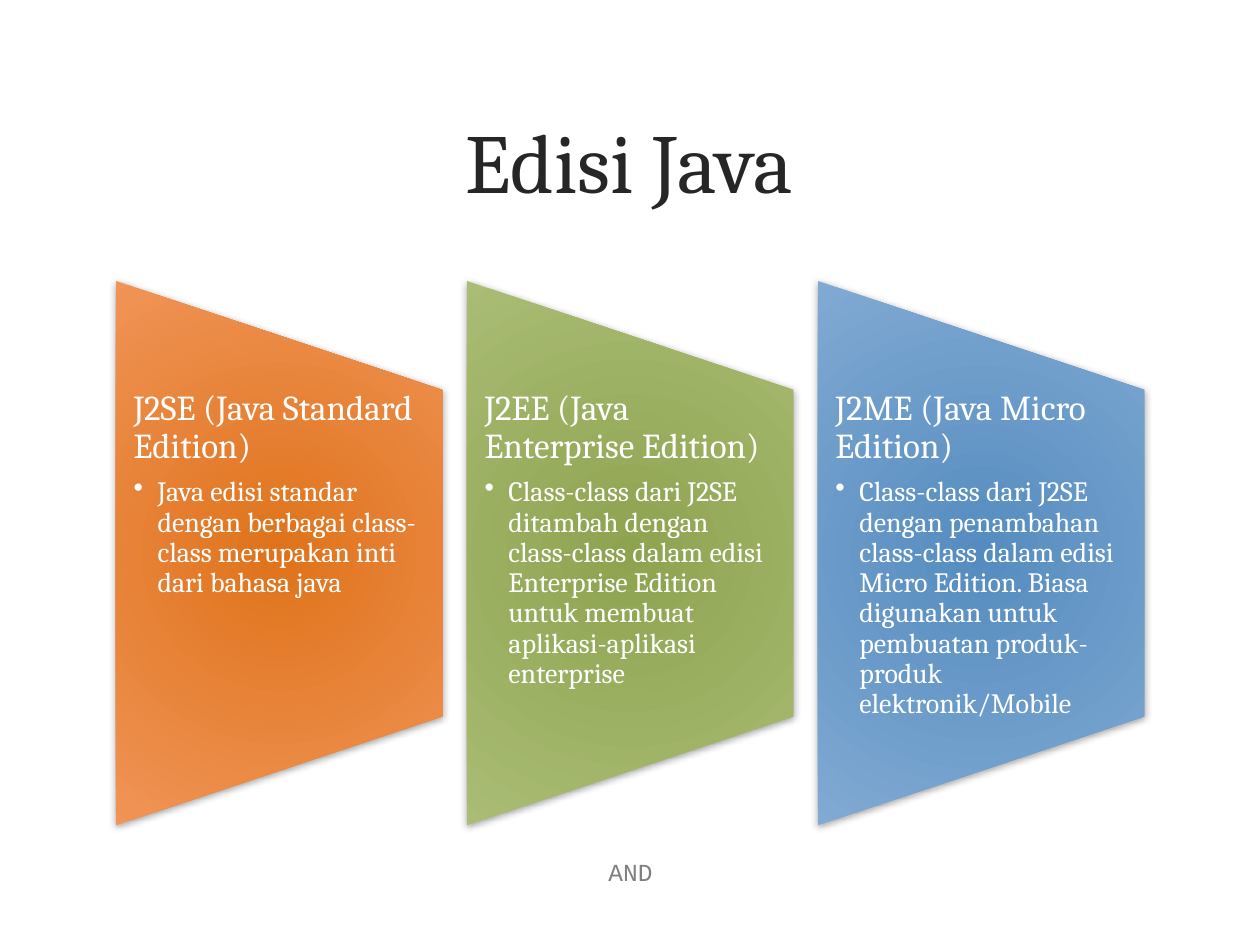
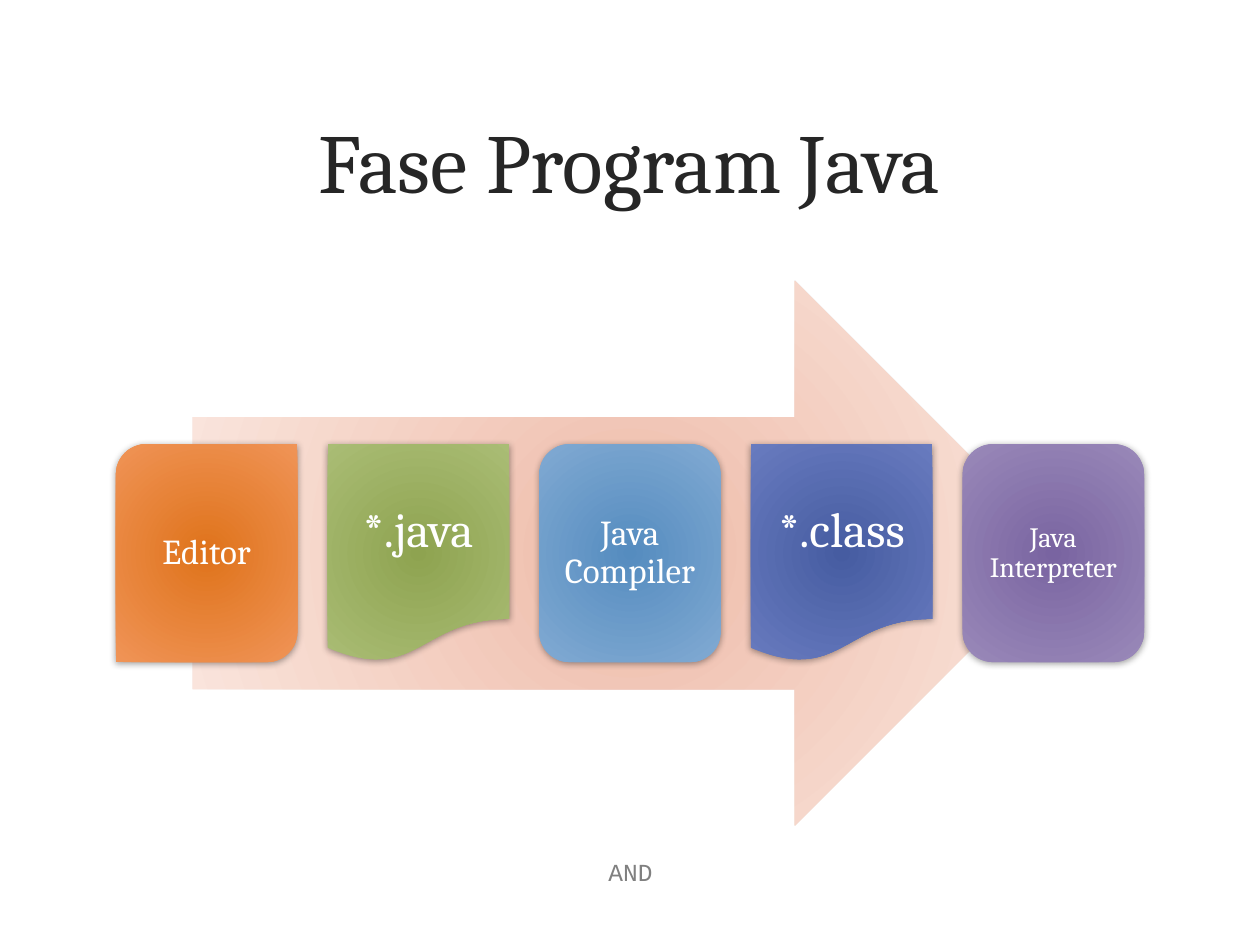
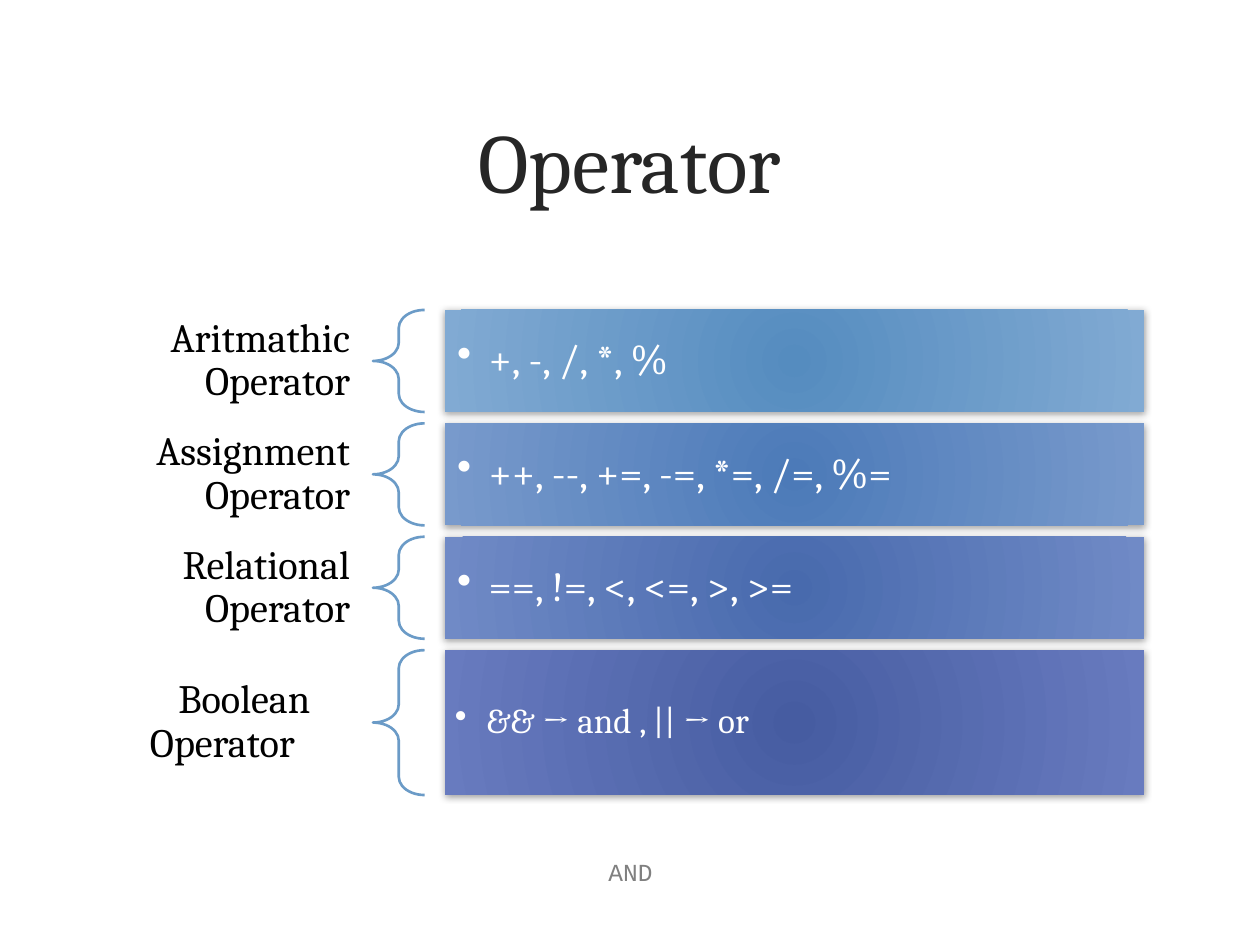
from dataclasses import dataclass

import lxml.etree
import pptx
import pptx.dml.color
import pptx.enum.shapes
import pptx.enum.text
import pptx.oxml.ns
import pptx.util

Inches = pptx.util.Inches
Pt = pptx.util.Pt
SHAPE = pptx.enum.shapes.MSO_SHAPE
ALIGN = pptx.enum.text.PP_ALIGN
ANCHOR = pptx.enum.text.MSO_ANCHOR
qn = pptx.oxml.ns.qn

SERIF, MONO = "Cambria", "Courier New"
WHITE, BLACK, INK, GREY = "FFFFFF", "000000", "262626", "808080"
BRACE_BLUE = "6B9BC7"
Gradient = tuple[str, str]
Box = tuple[float, float, float, float]
ORANGE: Gradient = ("DF731B", "F09457")
GREEN: Gradient = ("8EA350", "AABD75")
BLUE: Gradient = ("558CBF", "81AAD3")
MID_BLUE: Gradient = ("4C7AB8", "789ACC")
DEEP_BLUE: Gradient = ("486AAD", "708AC6")
INDIGO: Gradient = ("465CA1", "687BBF")
PURPLE: Gradient = ("7964A1", "9A89B9")
PEACH: Gradient = ("EEBBA8", "FBE9E2")

# Diagram area shared by the slides
LEFT, RIGHT, TOP, HEIGHT = 0.92, 9.08, 2.23, 4.32


@dataclass
class Edition:
    name: str
    detail: str
    colors: Gradient


@dataclass
class Phase:
    label: str
    outline: pptx.enum.shapes.MSO_SHAPE
    size: int
    inset: float
    colors: Gradient


@dataclass
class OperatorGroup:
    name: str
    symbols: str
    colors: Gradient
    height: float = 0.81
    size: int = 24
    inset: float = 0.1
    align: pptx.enum.text.PP_ALIGN = ALIGN.RIGHT


EDITIONS = [
    Edition("J2SE (Java Standard Edition)",
            "Java edisi standar dengan berbagai class-class merupakan inti dari bahasa java",
            ORANGE),
    Edition("J2EE (Java Enterprise Edition)",
            "Class-class dari J2SE ditambah dengan class-class dalam edisi Enterprise Edition "
            "untuk membuat aplikasi-aplikasi enterprise", GREEN),
    Edition("J2ME (Java Micro Edition)",
            "Class-class dari J2SE dengan penambahan class-class dalam edisi Micro Edition. "
            "Biasa digunakan untuk pembuatan produk-produk elektronik/Mobile", BLUE),
]
PHASES = [
    Phase("Editor", SHAPE.ROUND_2_DIAG_RECTANGLE, 20, 0.08, ORANGE),
    Phase("*.java", SHAPE.FLOWCHART_DOCUMENT, 28, 0.12, GREEN),
    Phase("Java Compiler", SHAPE.ROUNDED_RECTANGLE, 20, 0.08, BLUE),
    Phase("*.class", SHAPE.FLOWCHART_DOCUMENT, 28, 0.12, INDIGO),
    Phase("Java Interpreter", SHAPE.ROUNDED_RECTANGLE, 16, 0.07, PURPLE),
]
OPERATORS = [
    OperatorGroup("Aritmathic Operator", "+, -, /, *, %", BLUE),
    OperatorGroup("Assignment Operator", "++, --, +=, -=, *=, /=, %=", MID_BLUE),
    OperatorGroup("Relational Operator", "==, !=, <, <=, >, >=", DEEP_BLUE),
    OperatorGroup("Boolean Operator\t", "&& → and , || → or", INDIGO,
                  height=1.15, size=20, inset=0.08, align=ALIGN.CENTER),
]


def rgb(color: str) -> pptx.dml.color.RGBColor:
    return pptx.dml.color.RGBColor.from_string(color)


def add_node(parent, tag: str, **attributes):
    return lxml.etree.SubElement(
        parent, qn(tag), {name: str(value) for name, value in attributes.items()})


def set_frame(tf, anchor=ANCHOR.MIDDLE, inset_x: float = 0.1, inset_y: float = 0.05) -> None:
    tf.word_wrap = True
    tf.vertical_anchor = anchor
    tf.margin_left = tf.margin_right = Inches(inset_x)
    tf.margin_top = tf.margin_bottom = Inches(inset_y)


def add_text(tf, text: str, *, size: float, color: str = WHITE, font: str = SERIF,
             align=ALIGN.LEFT, line_spacing: float | None = None,
             after: int = 0, bullet_indent: float = 0) -> None:
    """Fill the first empty paragraph or add one; after is a percentage of the line."""
    p = tf.paragraphs[0] if not tf.paragraphs[0].runs else tf.add_paragraph()
    p.alignment = align
    if line_spacing:
        p.line_spacing = line_spacing
    pPr = p._p.get_or_add_pPr()
    if after:
        add_node(add_node(pPr, "a:spcAft"), "a:spcPct", val=after * 1000)
    if bullet_indent:
        p.level = 1
        pPr.set("marL", str(Inches(bullet_indent)))
        pPr.set("indent", str(-Inches(bullet_indent)))
        add_node(pPr, "a:buChar", char="•")
    r = p.add_run()
    r.text = text
    r.font.name = font
    r.font.size = Pt(size)
    r.font.color.rgb = rgb(color)


def add_textbox(slide, box: Box, **frame):
    tf = slide.shapes.add_textbox(*map(Inches, box)).text_frame
    set_frame(tf, **frame)
    return tf


def add_shape(slide, outline, box: Box):
    sp = slide.shapes.add_shape(outline, *map(Inches, box))
    sp.shadow.inherit = False
    sp.line.fill.background()
    return sp


def add_gradient_shape(slide, outline, box: Box, colors: Gradient, shadow: bool = True):
    """Draw a shape that is darkest at its centre, with an optional soft shadow."""
    sp = add_shape(slide, outline, box)
    fill = sp.fill
    fill.gradient()
    for stop, color in zip(fill.gradient_stops, colors):
        stop.color.rgb = rgb(color)
    spPr = sp.element.spPr
    grad = spPr.find(qn("a:gradFill"))
    grad.remove(grad.find(qn("a:lin")))
    circle = add_node(grad, "a:path", path="circle")
    add_node(circle, "a:fillToRect", l=40000, t=100000, r=40000, b=100000)
    if shadow:
        outer = add_node(spPr.find(qn("a:effectLst")), "a:outerShdw", blurRad=Pt(4),
                         dist=Pt(1), dir=5400000, algn="ctr", rotWithShape=0)
        add_node(add_node(outer, "a:srgbClr", val=BLACK), "a:alpha", val=37000)
    return sp


def add_slide(prs, title: str):
    slide = prs.slides.add_slide(prs.slide_layouts[6])
    add_text(add_textbox(slide, (0.6, 0.48, 8.79, 1.58)), title,
             size=48, color=INK, align=ALIGN.CENTER)
    add_text(add_textbox(slide, (3.42, 6.72, 3.17, 0.4)), "AND",
             size=14, color=GREY, font=MONO, align=ALIGN.CENTER)
    return slide


def add_editions(prs) -> None:
    slide = add_slide(prs, "Edisi Java")
    side = 2.59
    pitch = (RIGHT - LEFT - side) / (len(EDITIONS) - 1)
    top = TOP + (HEIGHT - side) / 2
    for i, edition in enumerate(EDITIONS):
        x = LEFT + i * pitch
        panel = (x - (HEIGHT - side) / 2, top, HEIGHT, side)
        sp = add_gradient_shape(slide, SHAPE.FLOWCHART_MANUAL_OPERATION, panel, edition.colors)
        sp.rotation = 270
        tf = add_textbox(slide, (x, top, side, side), anchor=ANCHOR.TOP,
                         inset_x=0.14, inset_y=0)
        add_text(tf, edition.name, size=20, line_spacing=0.9, after=35)
        add_text(tf, edition.detail, size=16, line_spacing=0.9, after=15, bullet_indent=0.19)


def add_phases(prs) -> None:
    slide = add_slide(prs, "Fase Program Java")
    add_gradient_shape(slide, SHAPE.RIGHT_ARROW, (1.53, TOP, 6.94, HEIGHT), PEACH, shadow=False)
    width, height = 1.44, 1.73
    pitch = (RIGHT - LEFT - width) / (len(PHASES) - 1)
    top = TOP + (HEIGHT - height) / 2
    for i, phase in enumerate(PHASES):
        sp = add_gradient_shape(slide, phase.outline, (LEFT + i * pitch, top, width, height),
                                phase.colors)
        set_frame(sp.text_frame, inset_x=phase.inset, inset_y=phase.inset)
        add_text(sp.text_frame, phase.label, size=phase.size, align=ALIGN.CENTER,
                 line_spacing=0.9, after=35)


def add_operators(prs) -> None:
    slide = add_slide(prs, "Operator")
    name_width, brace_width, bar_left, gap = 2.04, 0.41, 3.53, 0.09
    y = 2.46
    for group in OPERATORS:
        tf = add_textbox(slide, (LEFT, y, name_width, group.height), inset_x=0.18, inset_y=0.06)
        add_text(tf, group.name, size=23, color=BLACK, align=group.align,
                 line_spacing=0.9, after=35)

        brace = add_shape(slide, SHAPE.LEFT_BRACE,
                          (LEFT + name_width, y, brace_width, group.height))
        brace.adjustments[0] = 0.35
        brace.fill.background()
        brace.line.color.rgb = rgb(BRACE_BLUE)
        brace.line.width = Pt(1.5)

        bar = add_gradient_shape(slide, SHAPE.RECTANGLE,
                                 (bar_left, y, RIGHT - bar_left, group.height), group.colors)
        set_frame(bar.text_frame, inset_x=group.inset, inset_y=group.inset)
        add_text(bar.text_frame, group.symbols, size=group.size, line_spacing=0.9,
                 after=15, bullet_indent=0.25)
        y += group.height + gap


def main() -> None:
    prs = pptx.Presentation()
    prs.slide_width, prs.slide_height = Inches(10), Inches(7.5)
    add_editions(prs)
    add_phases(prs)
    add_operators(prs)
    prs.save("out.pptx")


if __name__ == "__main__":
    main()
